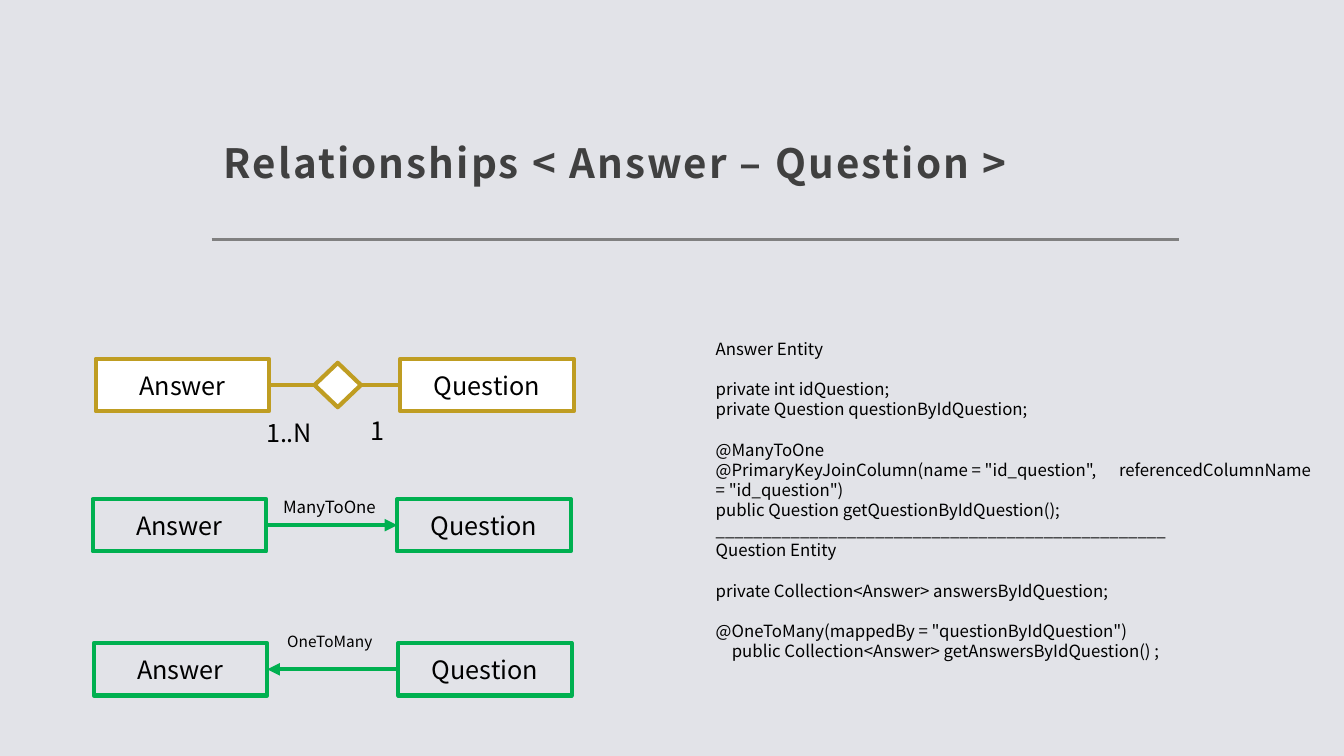
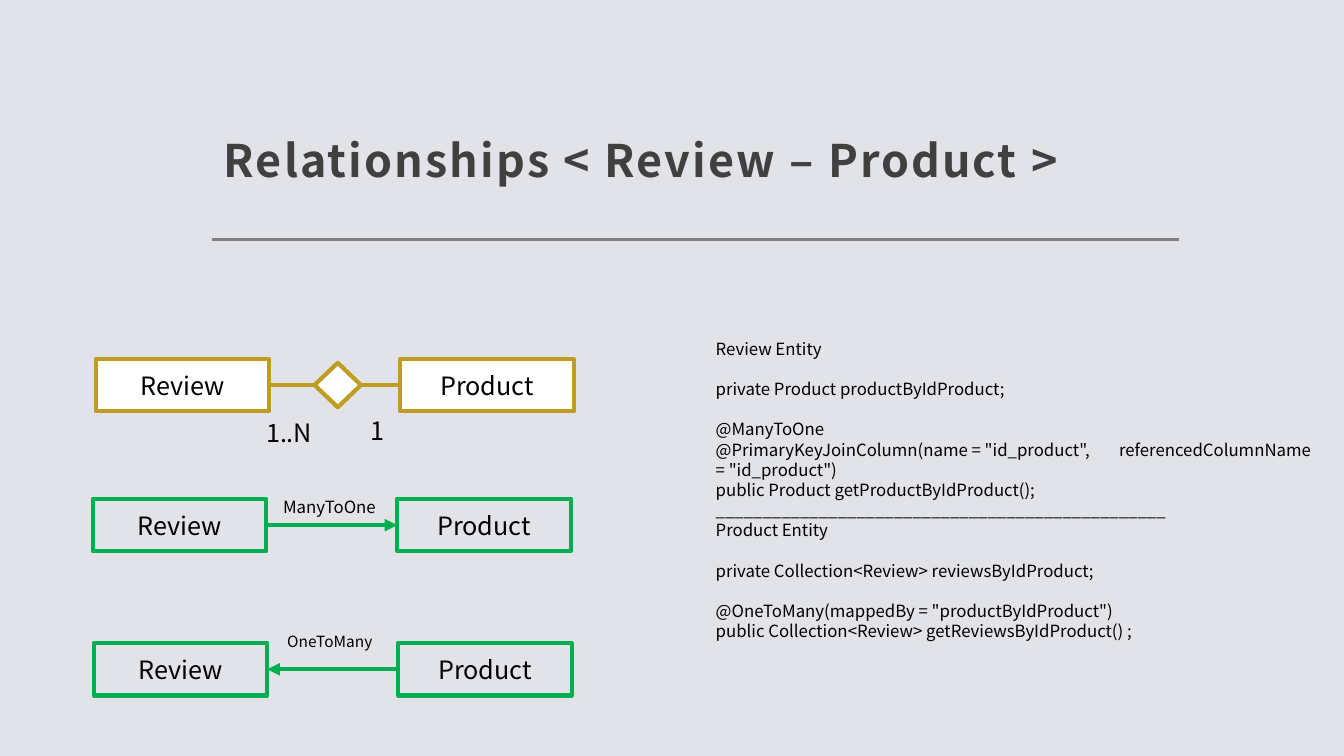
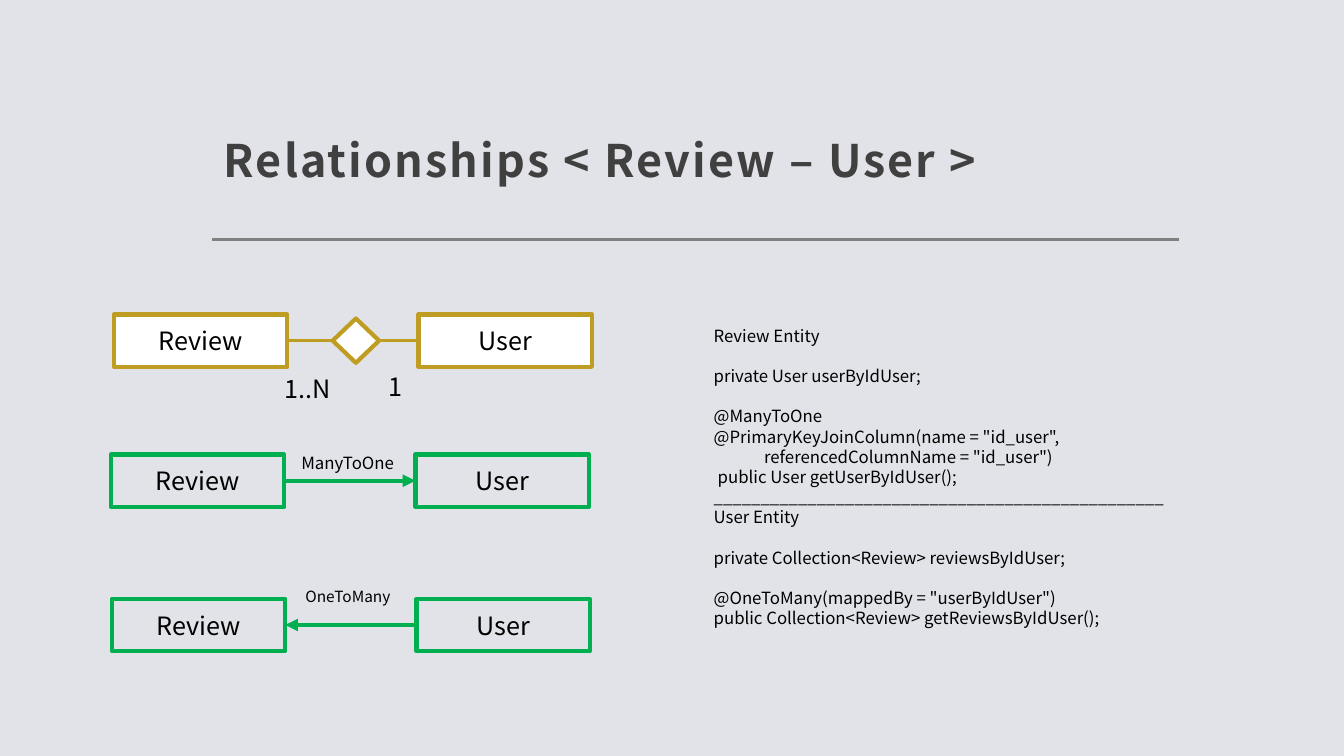
from lxml.etree import SubElement
from pptx import Presentation
from pptx.dml.color import RGBColor
from pptx.enum.shapes import MSO_CONNECTOR, MSO_SHAPE
from pptx.enum.text import MSO_ANCHOR, MSO_AUTO_SIZE, PP_ALIGN
from pptx.oxml.ns import qn
from pptx.util import Inches, Pt

BACKGROUND = RGBColor(0xE2, 0xE3, 0xE8)
RULE_GRAY = RGBColor(0x80, 0x80, 0x80)
TITLE_GRAY = RGBColor(0x40, 0x40, 0x40)
BLACK = RGBColor(0, 0, 0)
WHITE = RGBColor(0xFF, 0xFF, 0xFF)
GOLD = RGBColor(0xBF, 0x9D, 0x22)
GREEN = RGBColor(0x00, 0xB0, 0x50)

FONT = "Noto Sans CJK JP"
CODE_LINE = 14.4
TOP, LEFT, BOTTOM, RIGHT = range(4)
DIVIDER = "_" * 48


class Deck:
    """Shared style and the slide being built."""

    def __init__(self):
        self.presentation = Presentation()
        self.presentation.slide_width = Inches(13.33)
        self.presentation.slide_height = Inches(7.5)
        fill = self.presentation.slide_master.background.fill
        fill.solid()
        fill.fore_color.rgb = BACKGROUND
        self.slide = None

    def add_slide(self, title, size):
        layout = self.presentation.slide_layouts[5]
        self.slide = self.presentation.slides.add_slide(layout)
        self.line(2.1, 2.38, 11.69, 2.38, RULE_GRAY, 2)

        shape = self.slide.shapes.title
        shape.left, shape.top = Inches(2.1), Inches(0.48)
        shape.width, shape.height = Inches(9.59), Inches(1.47)
        frame = shape.text_frame
        frame.text = title
        frame.auto_size = MSO_AUTO_SIZE.NONE
        frame.vertical_anchor = MSO_ANCHOR.BOTTOM
        frame.margin_left = frame.margin_right = frame.margin_top = Inches(0.12)
        frame.margin_bottom = Inches(0.1)
        paragraph = frame.paragraphs[0]
        paragraph.alignment = PP_ALIGN.LEFT
        paragraph.line_spacing = 1.3
        self.format(paragraph, size, TITLE_GRAY, bold=True)
        paragraph.runs[0].font._element.set("spc", "150")

    def format(self, paragraph, size, color=BLACK, bold=False):
        for run in paragraph.runs:
            run.font.name = FONT
            run.font.size = Pt(size)
            run.font.bold = bold
            run.font.color.rgb = color

    def line(self, x1, y1, x2, y2, color, width):
        connector = self.slide.shapes.add_connector(
            MSO_CONNECTOR.STRAIGHT, Inches(x1), Inches(y1), Inches(x2), Inches(y2))
        connector.line.color.rgb = color
        connector.line.width = Pt(width)
        SubElement(connector._element.spPr, qn("a:effectLst"))
        return connector

    def connect(self, start, start_side, end, end_side, color, width, arrow=False):
        connector = self.line(0, 0, 1, 1, color, width)
        connector.begin_connect(start, start_side)
        connector.end_connect(end, end_side)
        if arrow:
            SubElement(connector.line._get_or_add_ln(), qn("a:tailEnd"), type="triangle")

    def shape(self, kind, x, y, width, height, color, fill=None, text=""):
        shape = self.slide.shapes.add_shape(
            kind, Inches(x), Inches(y), Inches(width), Inches(height))
        shape.shadow.inherit = False
        if fill is None:
            shape.fill.background()
        else:
            shape.fill.solid()
            shape.fill.fore_color.rgb = fill
        shape.line.color.rgb = color
        shape.line.width = Pt(3)
        if text:
            frame = shape.text_frame
            frame.text = text
            frame.vertical_anchor = MSO_ANCHOR.MIDDLE
            frame.paragraphs[0].alignment = PP_ALIGN.CENTER
            self.format(frame.paragraphs[0], 18)
        return shape

    def text_box(self, x, y, width, height, wrap):
        box = self.slide.shapes.add_textbox(
            Inches(x), Inches(y), Inches(width), Inches(height))
        box.text_frame.word_wrap = wrap
        box.text_frame.auto_size = MSO_AUTO_SIZE.SHAPE_TO_FIT_TEXT
        return box.text_frame

    def label(self, text, x, y, width, height, size):
        frame = self.text_box(x, y, width, height, wrap=False)
        frame.text = text
        self.format(frame.paragraphs[0], size)

    def code(self, blocks, x, y, height):
        """Each block is a list of lines; a gap of one line parts the blocks."""
        frame = self.text_box(x, y, 6.11, height, wrap=True)
        paragraph = None
        for block_index, block in enumerate(blocks):
            for line_index, text in enumerate(block):
                paragraph = frame.add_paragraph() if paragraph else frame.paragraphs[0]
                code = text.lstrip(" ")
                paragraph.text = code
                paragraph.line_spacing = Pt(CODE_LINE)
                if block_index and not line_index:
                    paragraph.space_before = Pt(CODE_LINE)
                indent = len(text) - len(code)
                if indent:
                    properties = paragraph._p.get_or_add_pPr()
                    properties.set("marL", str(Inches(0.04 * indent)))
                self.format(paragraph, 12)

    def entity_pair(self, many, one, x, y, color, fill=None):
        return [self.shape(MSO_SHAPE.RECTANGLE, left, y, 1.72, 0.52, color, fill, name)
                for left, name in ((x, many), (x + 3.02, one))]

    def relationship(self, many, one, x, y):
        # Conceptual relationship with its cardinalities
        many_box, one_box = self.entity_pair(many, one, x, y, GOLD, WHITE)
        diamond = self.shape(MSO_SHAPE.DIAMOND, x + 2.17, y + 0.04, 0.46, 0.44, GOLD, WHITE)
        self.connect(one_box, LEFT, diamond, RIGHT, GOLD, 2.25)
        self.connect(diamond, LEFT, many_box, RIGHT, GOLD, 2.25)
        self.label("1", x + 2.63, y + 0.51, 0.36, 0.4, 18)
        self.label("1..N", x + 1.59, y + 0.53, 0.72, 0.4, 18)

        # Mapping in each direction
        many_box, one_box = self.entity_pair(many, one, x - 0.03, y + 1.39, GREEN)
        self.connect(many_box, RIGHT, one_box, LEFT, GREEN, 3, arrow=True)
        self.label("ManyToOne", x + 1.76, y + 1.32, 1.15, 0.3, 12)
        many_box, one_box = self.entity_pair(many, one, x - 0.02, y + 2.82, GREEN)
        self.connect(one_box, LEFT, many_box, RIGHT, GREEN, 3, arrow=True)
        self.label("OneToMany", x + 1.8, y + 2.66, 1.09, 0.29, 11)


# Many side, one side, title size, diagram origin, code box, code blocks
RELATIONSHIPS = [
    ("Answer", "Question", 28.8, (0.95, 3.56), (7, 3.31, 3.33), [
        ["Answer Entity"],
        ["private int idQuestion;",
         "private Question questionByIdQuestion;"],
        ["@ManyToOne",
         '@PrimaryKeyJoinColumn(name = "id_question", \treferencedColumnName = "id_question")',
         "public Question getQuestionByIdQuestion();",
         DIVIDER,
         "Question Entity"],
        ["private Collection<Answer> answersByIdQuestion;"],
        ['@OneToMany(mappedBy = "questionByIdQuestion")',
         "    public Collection<Answer> getAnswersByIdQuestion() ;"],
    ]),
    ("Review", "Product", 32, (0.95, 3.56), (7, 3.31, 3.13), [
        ["Review Entity"],
        ["private Product productByIdProduct;"],
        ["@ManyToOne",
         '@PrimaryKeyJoinColumn(name = "id_product", \treferencedColumnName = "id_product")',
         "public Product getProductByIdProduct();",
         DIVIDER,
         "Product Entity"],
        ["private Collection<Review> reviewsByIdProduct;"],
        ['@OneToMany(mappedBy = "productByIdProduct")',
         "public Collection<Review> getReviewsByIdProduct() ;"],
    ]),
    ("Review", "User", 32, (1.13, 3.12), (6.98, 3.18, 3.13), [
        ["Review Entity"],
        ["private User userByIdUser;"],
        ["@ManyToOne",
         '@PrimaryKeyJoinColumn(name = "id_user",',
         '\treferencedColumnName = "id_user")',
         " public User getUserByIdUser();",
         DIVIDER,
         "User Entity"],
        ["private Collection<Review> reviewsByIdUser;"],
        ['@OneToMany(mappedBy = "userByIdUser")',
         "public Collection<Review> getReviewsByIdUser();"],
    ]),
]


def main():
    deck = Deck()
    for many, one, title_size, origin, code_box, blocks in RELATIONSHIPS:
        deck.add_slide(f"Relationships < {many} – {one} >", title_size)
        deck.code(blocks, *code_box)
        deck.relationship(many, one, *origin)
    deck.presentation.save("out.pptx")


if __name__ == "__main__":
    main()
